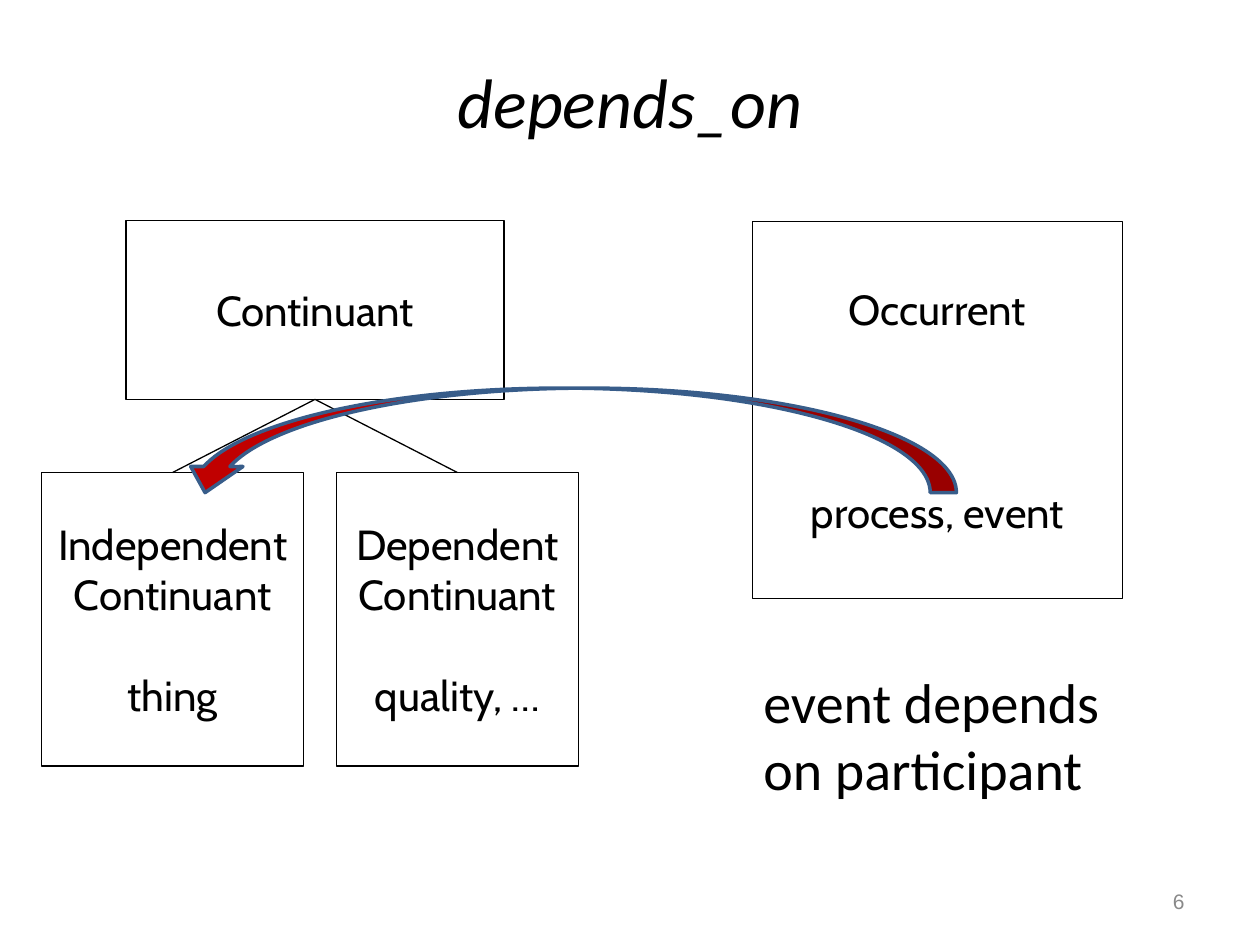
import pptx
import pptx.util
import pptx.dml.color
import pptx.enum.shapes
import pptx.enum.text
import pptx.oxml.xmlchemy

Inches, Pt = pptx.util.Inches, pptx.util.Pt
SHAPE = pptx.enum.shapes.MSO_SHAPE
ALIGN = pptx.enum.text.PP_ALIGN
ANCHOR = pptx.enum.text.MSO_ANCHOR

COLORS = {"ink": "000000", "red": "C00000", "blue": "385D8A", "gray": "898989"}
LINE = 29  # height in points of one line of box text


def color(name):
    return pptx.dml.color.RGBColor.from_string(COLORS[name])


def write(shape, lines, size=24, font="Cabin", ink="ink", align=ALIGN.CENTER,
          anchor=ANCHOR.MIDDLE, italic=False, wrap=False, gaps=None):
    """Fill a shape with lines; gaps maps a line number to its space before."""
    frame = shape.text_frame
    frame.word_wrap = wrap
    frame.vertical_anchor = anchor
    frame.margin_left = frame.margin_right = Inches(0.1)
    frame.margin_top = frame.margin_bottom = Inches(0.05)
    for i, line in enumerate(lines):
        para = frame.paragraphs[0] if i == 0 else frame.add_paragraph()
        para.alignment = align
        if gaps and i in gaps:
            para.space_before = Pt(gaps[i])
        run = para.add_run()
        run.text = line
        run.font.size = Pt(size)
        run.font.name = font
        run.font.italic = italic
        run.font.color.rgb = color(ink)


def label(slide, box, lines, **form):
    text = slide.shapes.add_textbox(*map(Inches, box))
    write(text, lines, **form)


def node(slide, box, lines, gaps=None):
    rect = slide.shapes.add_shape(SHAPE.RECTANGLE, *map(Inches, box))
    rect.shadow.inherit = False
    rect.fill.background()
    rect.line.color.rgb = color("ink")
    rect.line.width = Pt(0.75)
    write(rect, lines, gaps=gaps)


def link(slide, start, end):
    line = slide.shapes.add_connector(
        pptx.enum.shapes.MSO_CONNECTOR.STRAIGHT, *map(Inches, start + end))
    line.line.color.rgb = color("ink")
    line.line.width = Pt(0.75)
    line._element.spPr.append(pptx.oxml.xmlchemy.OxmlElement("a:effectLst"))


def tree(slide, left, top):
    """Continuant with its two kinds below."""
    root = (left + 0.67, top, 3, 1.42)
    node(slide, root, ["Continuant"])
    kinds = [(0, 2.08, "Independent", "thing"),
             (2.34, 1.92, "Dependent", "quality, …")]
    for shift, width, kind, case in kinds:
        node(slide, (left + shift, top + 2, width, 2.33),
             [kind, "Continuant", case], gaps={2: LINE})
    mid = root[0] + root[2] / 2
    for side in (-1, 1):
        link(slide, (mid, top + root[3]), (mid + side * 1.13, top + 2))


def arc(slide, box):
    """Curved arrow from the event back to the thing."""
    arrow = slide.shapes.add_shape(SHAPE.CURVED_UP_ARROW, *map(Inches, box))
    arrow.rotation = 180
    arrow.shadow.inherit = False
    arrow.fill.solid()
    arrow.fill.fore_color.rgb = color("red")
    arrow.line.color.rgb = color("blue")
    arrow.line.width = Pt(2)


def main():
    deck = pptx.Presentation()
    deck.slide_width, deck.slide_height = Inches(10), Inches(7.5)
    slide = deck.slides.add_slide(deck.slide_layouts[6])

    # Title
    label(slide, (0, 0.42, 10, 0.75), ["depends_on"], size=40,
          font="Calibri", italic=True, wrap=True)

    # Diagram
    tree(slide, 0.33, 1.75)
    node(slide, (5.97, 1.76, 2.94, 2.99), ["Occurrent", "process, event"],
         gaps={1: 3 * LINE})
    arc(slide, (1.42, 3.08, 6.17, 0.83))

    # Remark and page number
    label(slide, (5.96, 5.25, 2.88, 1.17), ["event depends", "on participant"],
          size=32, font="Calibri", align=ALIGN.LEFT, anchor=ANCHOR.TOP)
    label(slide, (7.17, 6.95, 2.33, 0.4), ["6"], size=12, font="Arial",
          ink="gray", align=ALIGN.RIGHT, wrap=True)

    deck.save("out.pptx")


if __name__ == "__main__":
    main()
